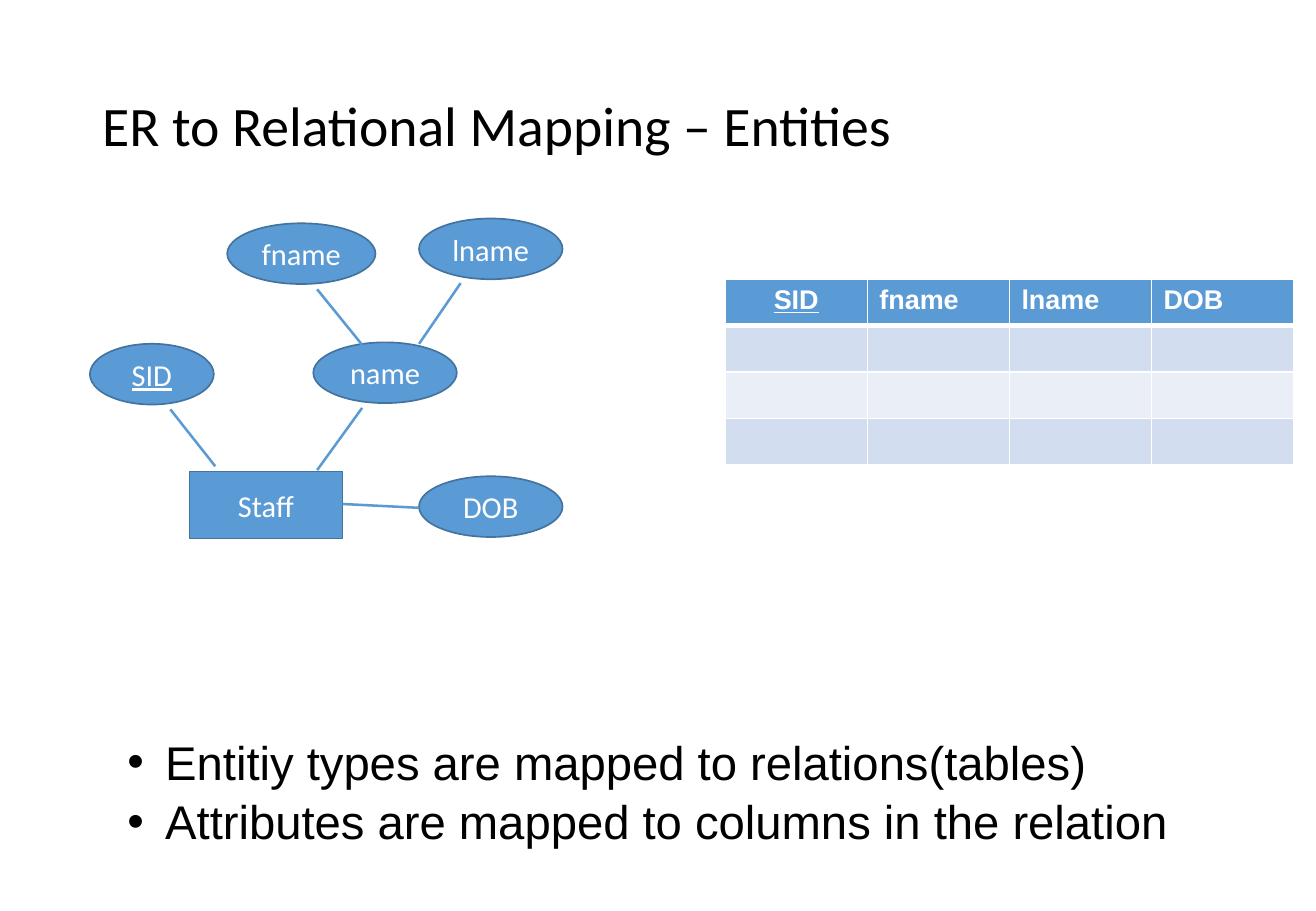
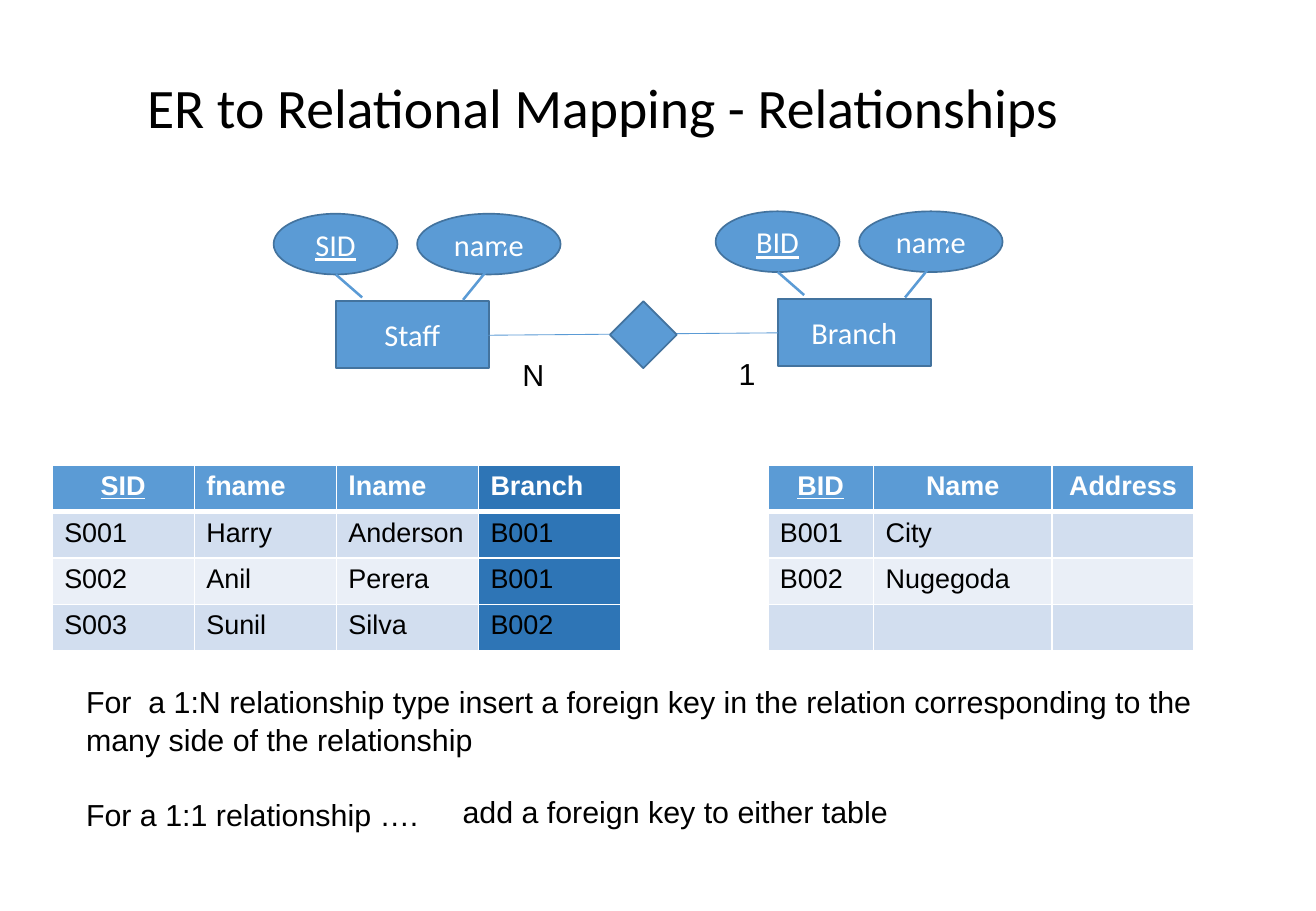
"""Build two slides on mapping ER diagrams to relational tables."""
from dataclasses import dataclass
from typing import Any, NamedTuple, Optional

from lxml import etree
from pptx import Presentation
from pptx import util as u
from pptx.dml.color import RGBColor
from pptx.enum import shapes, text
from pptx.oxml.ns import qn

BLUE, EDGE, DARK = "5B9BD5", "43739E", "2E75B6"
BANDS = ("D2DEEF", "EAEFF7")
WHITE, BLACK = "FFFFFF", "000000"
ROW = 0.97
OVAL_H = 1.27
WIDE, NARROW = 3.0, 2.59
RECT, OVAL, DIAMOND = (shapes.MSO_SHAPE.RECTANGLE, shapes.MSO_SHAPE.OVAL,
                       shapes.MSO_SHAPE.DIAMOND)


class Box(NamedTuple):
    left: float
    top: float
    width: float
    height: float


class Node(NamedTuple):
    label: str
    box: Box
    kind: Any = OVAL
    key: bool = False


class Link(NamedTuple):
    x1: float
    y1: float
    x2: float
    y2: float
    weight: float = 1.5


class Column(NamedTuple):
    name: str
    width: float = 2.97
    centred: bool = False
    fill: Optional[str] = None


@dataclass
class Grid:
    left: float
    top: float
    columns: list[Column]
    rows: list[tuple[str, ...]]
    body_pt: float = 16


def rgb(value: str) -> RGBColor:
    return RGBColor.from_string(value)


def cm(*values: float) -> list[u.Cm]:
    return [u.Cm(v) for v in values]


def style(p, size: float, color: str = BLACK, name: str = "Arial",
          bold: bool = False, underline: bool = False) -> None:
    f = p.font
    f.size, f.name, f.bold, f.underline = u.Pt(size), name, bold, underline
    f.color.rgb = rgb(color)


def move(sp, box: Box) -> None:
    sp.left, sp.top, sp.width, sp.height = cm(*box)


def new_slide(prs, layout: int, title: str, left: float, top: float):
    s = prs.slides.add_slide(prs.slide_layouts[layout])
    sp = s.shapes.title
    move(sp, Box(left, top, 23.72, 3.68))
    tf = sp.text_frame
    tf.text = title
    tf.auto_size = text.MSO_AUTO_SIZE.NONE
    tf.vertical_anchor = text.MSO_ANCHOR.MIDDLE
    p = tf.paragraphs[0]
    p.alignment = text.PP_ALIGN.LEFT
    style(p, 33, name="Calibri")
    return s


def add_node(s, node: Node) -> None:
    sp = s.shapes.add_shape(node.kind, *cm(*node.box))
    sp.shadow.inherit = False
    sp.fill.solid()
    sp.fill.fore_color.rgb = rgb(BLUE)
    sp.line.color.rgb = rgb(EDGE)
    sp.line.width = u.Pt(1)
    if node.label:
        tf = sp.text_frame
        tf.text = node.label
        tf.vertical_anchor = text.MSO_ANCHOR.MIDDLE
        p = tf.paragraphs[0]
        p.alignment = text.PP_ALIGN.CENTER
        style(p, 18, WHITE, "Calibri", underline=node.key)


def add_link(s, link: Link) -> None:
    sp = s.shapes.add_connector(shapes.MSO_CONNECTOR.STRAIGHT, *cm(*link[:4]))
    sp.line.color.rgb = rgb(BLUE)
    sp.line.width = u.Pt(link.weight)
    etree.SubElement(sp._element.spPr, qn("a:effectLst"))


def add_text(s, box: Box, lines: list[str], wrap: bool = False) -> None:
    tf = s.shapes.add_textbox(*cm(*box)).text_frame
    tf.word_wrap = wrap
    tf.text = "\n".join(lines)
    for p in tf.paragraphs:
        style(p, 18)
        p.line_spacing = 1.05
    for p in tf.paragraphs[:-1]:
        p.space_after = u.Pt(21.6)


def set_borders(cell, top: float, bottom: float) -> None:
    tc_pr = cell._tc.get_or_add_tcPr()
    sides = {"L": 1, "R": 1, "T": top, "B": bottom}
    for i, (side, weight) in enumerate(sides.items()):
        ln = etree.Element(qn(f"a:ln{side}"), w=str(u.Pt(weight)))
        fill = etree.SubElement(ln, qn("a:solidFill"))
        etree.SubElement(fill, qn("a:srgbClr"), val=WHITE)
        tc_pr.insert(i, ln)


def add_grid(s, grid: Grid) -> None:
    lines = [tuple(c.name for c in grid.columns), *grid.rows]
    width = sum(c.width for c in grid.columns)
    table = s.shapes.add_table(len(lines), len(grid.columns), *cm(
        grid.left, grid.top, width, ROW * len(lines))).table
    for j, column in enumerate(grid.columns):
        table.columns[j].width = u.Cm(column.width)
        for i, line in enumerate(lines):
            head = i == 0
            cell = table.cell(i, j)
            cell.text = line[j]
            cell.fill.solid()
            cell.fill.fore_color.rgb = rgb(
                column.fill or (BLUE if head else BANDS[(i - 1) % 2]))
            set_borders(cell, 3 if i == 1 else 1, 3 if head else 1)
            p = cell.text_frame.paragraphs[0]
            if head:
                style(p, 16, WHITE, bold=True, underline=j == 0)
                if column.centred:
                    p.alignment = text.PP_ALIGN.CENTER
            else:
                style(p, grid.body_pt)


def add_list(s, box: Box, items: list[str]) -> None:
    sp = s.placeholders[1]
    move(sp, box)
    tf = sp.text_frame
    tf.text = "\n".join(items)
    tf.auto_size = text.MSO_AUTO_SIZE.NONE
    for p in tf.paragraphs:
        style(p, 28)
        p.space_before = u.Pt(0)
        p.line_spacing = 1.05
        p_pr = p._p.get_or_add_pPr()
        p_pr.set("marL", str(u.Cm(0.79)))
        p_pr.set("indent", str(-u.Cm(0.79)))


def add_entity(s, name: str, key: str, left: float, top: float) -> None:
    for node in (
        Node(name, Box(left + 1.3, top + 1.83, 3.2, 1.4), RECT),
        Node(key, Box(left, top, NARROW, OVAL_H), key=True),
        Node("name", Box(left + 3, top, WIDE, OVAL_H)),
    ):
        add_node(s, node)
    for x1, y1, x2, y2 in ((1.3, 1.27, 1.85, 1.75), (5.05, 0.46, 3.96, 1.8)):
        add_link(s, Link(left + x1, top + y1, left + x2, top + y2))


def entities_slide(prs) -> None:
    s = new_slide(prs, 1, "ER to Relational Mapping – Entities", 1.88, 0.76)
    add_grid(s, Grid(15.16, 5.84, [
        Column("SID", centred=True), Column("fname"), Column("lname"),
        Column("DOB")], [("",) * 4] * 3, body_pt=18))
    for node in (
        Node("Staff", Box(3.96, 9.86, 3.2, 1.4), RECT),
        Node("SID", Box(1.88, 7.19, NARROW, OVAL_H), key=True),
        Node("name", Box(6.55, 7.16, WIDE, OVAL_H)),
        Node("fname", Box(4.75, 4.67, 3.1, OVAL_H)),
        Node("lname", Box(8.76, 4.57, WIDE, OVAL_H)),
        Node("DOB", Box(8.76, 9.96, WIDE, OVAL_H)),
    ):
        add_node(s, node)
    for link in (
        Link(3.56, 8.56, 4.5, 9.75),
        Link(7.57, 8.53, 6.63, 9.83),
        Link(8.76, 10.62, 7.16, 10.54),
        Link(9.63, 5.92, 8.76, 7.19),
        Link(6.63, 6.05, 7.57, 7.21),
    ):
        add_link(s, link)
    add_list(s, Box(2.41, 15.14, 22.53, 3.43), [
        "Entitiy types are mapped to relations(tables)",
        "Attributes are mapped to columns in the relation"])


def relationships_slide(prs) -> None:
    s = new_slide(prs, 5, "ER to Relational Mapping - Relationships", 2.82, 0.38)
    add_grid(s, Grid(1.09, 9.73, [
        Column("SID", centred=True), Column("fname"), Column("lname"),
        Column("Branch", fill=DARK)], [
        ("S001", "Harry", "Anderson", "B001"),
        ("S002", "Anil", "Perera", "B001"),
        ("S003", "Sunil", "Silva", "B002")]))
    add_grid(s, Grid(16.05, 9.73, [
        Column("BID", 2.21, True), Column("Name", 3.73, True),
        Column("Address", centred=True)], [
        ("B001", "City", ""), ("B002", "Nugegoda", ""), ("", "", "")]))
    add_entity(s, "Staff", "SID", 5.72, 4.47)
    add_entity(s, "Branch", "BID", 14.96, 4.42)
    add_link(s, Link(10.21, 7.01, 16.26, 6.96, 0.5))
    add_text(s, Box(10.67, 7.29, 0.97, 1.02), ["N"])
    add_text(s, Box(15.19, 7.26, 0.86, 1.02), ["1"])
    add_text(s, Box(1.55, 14.12, 24.99, 3.33), [
        "For  a 1:N relationship type insert a foreign key in the relation "
        "corresponding to the many side of the relationship",
        "For a 1:1 relationship …."], wrap=True)
    add_text(s, Box(9.42, 16.43, 9.5, 1.02), ["add a foreign key to either table"])
    add_node(s, Node("", Box(12.75, 6.3, 1.4, 1.4), DIAMOND))


def main() -> None:
    prs = Presentation()
    prs.slide_width, prs.slide_height = cm(27.51, 19.05)
    entities_slide(prs)
    relationships_slide(prs)
    prs.save("out.pptx")


main()
